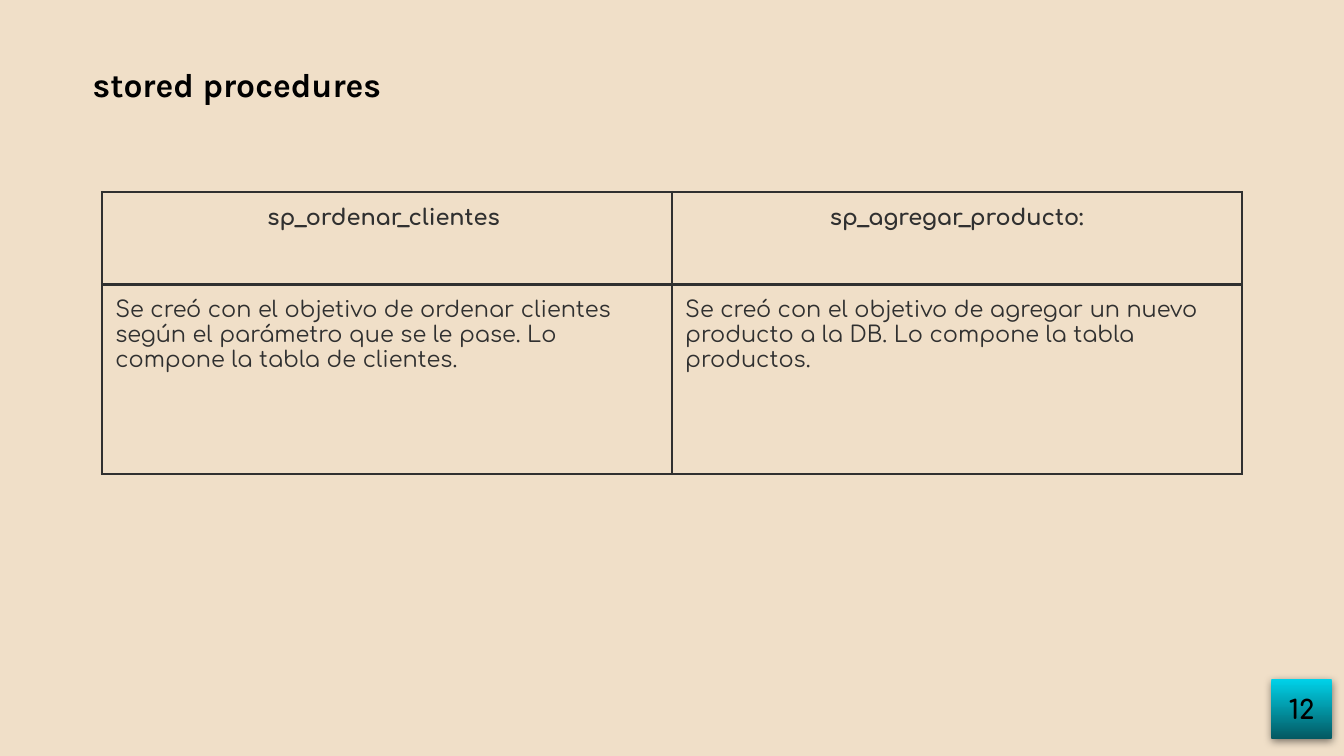
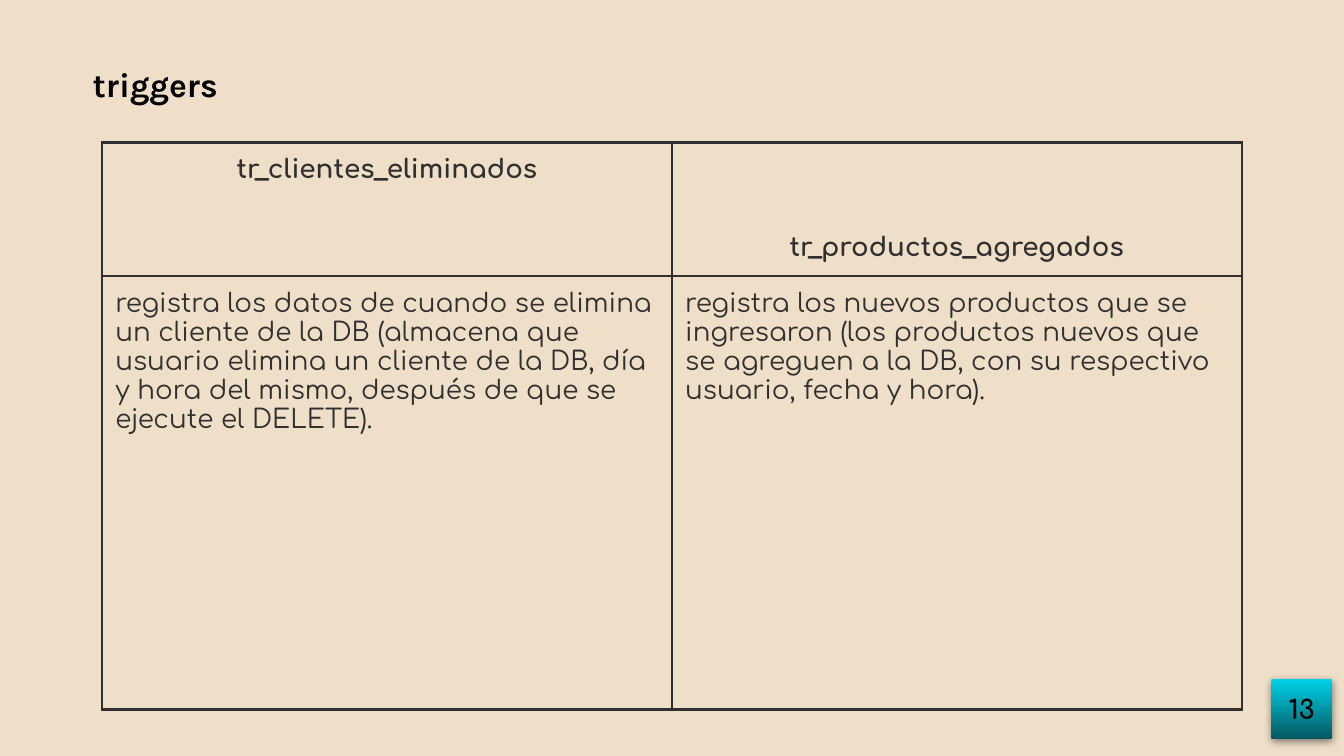
from dataclasses import dataclass
from lxml import etree
from pptx import Presentation
from pptx.dml.color import RGBColor
from pptx.enum.shapes import MSO_SHAPE
from pptx.enum.text import MSO_ANCHOR, MSO_AUTO_SIZE, PP_ALIGN
from pptx.oxml import parse_xml
from pptx.oxml.ns import nsdecls, qn
from pptx.util import Cm, Pt


@dataclass(frozen=True)
class Theme:
    """Colours, fonts and type sizes that the slides share."""
    page: str = "F0DFC8"
    ink: str = "303030"
    black: str = "000000"
    top: str = "00D2E9"
    base: str = "045962"
    head: str = "Karla"
    body: str = "Comfortaa"
    title: int = 18
    badge: int = 14
    rule: float = 1.5
    pad: float = 0.25


THEME = Theme()

PAGES = [
    dict(number=12, title="stored procedures", top=3.63, rows=(1.75, 3.58), size=12,
         heads=("sp_ordenar_clientes ", "sp_agregar_producto:"),
         notes=("Se creó con el objetivo de ordenar clientes según el parámetro "
                "que se le pase. Lo compone la tabla de clientes.",
                "Se creó con el objetivo de agregar un nuevo producto a la DB. "
                "Lo compone la tabla productos.")),
    dict(number=13, title="triggers", top=2.69, rows=(1.75, 8.2), size=14,
         heads=("tr_clientes_eliminados", "tr_productos_agregados"),
         notes=("registra los datos de cuando se elimina un cliente de la DB "
                "(almacena que usuario elimina un cliente de la DB, día y hora "
                "del mismo, después de que se ejecute el DELETE).",
                "registra los nuevos productos que se ingresaron (los productos "
                "nuevos que se agreguen a la DB, con su respectivo usuario, "
                "fecha y hora).")),
]


def style(para, font, size, color, bold, align=PP_ALIGN.LEFT):
    """Format a paragraph and its runs."""
    para.alignment = align
    for run in para.runs:
        run.font.name = font
        run.font.size = Pt(size)
        run.font.bold = bold
        run.font.color.rgb = RGBColor.from_string(color)


def inset(item):
    """Give a text frame or a cell the same margin on all sides."""
    item.margin_left = item.margin_right = Cm(THEME.pad)
    item.margin_top = item.margin_bottom = Cm(THEME.pad)


def add_title(slide, text):
    """Place and fill the title placeholder."""
    title = slide.shapes.title
    title.left, title.top = Cm(1.5), Cm(0.74)
    title.width, title.height = Cm(16.66), Cm(1.68)
    frame = title.text_frame
    frame.text = text
    frame.word_wrap = True
    frame.auto_size = MSO_AUTO_SIZE.NONE
    frame.vertical_anchor = MSO_ANCHOR.MIDDLE
    inset(frame)
    style(frame.paragraphs[0], THEME.head, THEME.title, THEME.black, True)


def add_shade(shape):
    """Put a soft shadow below a shape."""
    shape.shadow.inherit = False
    effects = shape.element.spPr.find(qn("a:effectLst"))
    effects.append(parse_xml(
        f'<a:outerShdw {nsdecls("a")} blurRad="{Pt(4.5)}" dist="{Pt(1.5)}" '
        f'dir="5400000" algn="bl" rotWithShape="0"><a:srgbClr val="{THEME.black}">'
        '<a:alpha val="50000"/></a:srgbClr></a:outerShdw>'))


def add_badge(slide, number):
    """Draw the page number on its gradient square."""
    badge = slide.shapes.add_shape(
        MSO_SHAPE.RECTANGLE, Cm(24.03), Cm(12.84), Cm(1.14), Cm(1.12))
    badge.line.fill.background()
    badge.fill.gradient()
    badge.fill.gradient_angle = 270
    for stop, color in zip(badge.fill.gradient_stops, (THEME.top, THEME.base)):
        stop.color.rgb = RGBColor.from_string(color)
    add_shade(badge)
    frame = badge.text_frame
    frame.text = str(number)
    frame.word_wrap = False
    inset(frame)
    style(frame.paragraphs[0], THEME.body, THEME.badge, THEME.black, True,
          PP_ALIGN.CENTER)


def add_rules(cell):
    """Draw a line on each side of a cell."""
    props = cell._tc.get_or_add_tcPr()
    for place, side in enumerate("LRTB"):
        line = etree.Element(qn(f"a:ln{side}"), w=str(Pt(THEME.rule)))
        fill = etree.SubElement(line, qn("a:solidFill"))
        etree.SubElement(fill, qn("a:srgbClr"), val=THEME.ink)
        props.insert(place, line)


def add_grid(slide, page):
    """Add the table of names over their notes and return it."""
    rows = page["rows"]
    grid = slide.shapes.add_table(
        2, 2, Cm(1.93), Cm(page["top"]), Cm(21.54), Cm(sum(rows))).table
    grid.first_row = grid.horz_banding = False
    for row, height in zip(grid.rows, rows):
        row.height = Cm(height)
    for r, texts in enumerate((page["heads"], page["notes"])):
        for c, text in enumerate(texts):
            cell = grid.cell(r, c)
            cell.text_frame.text = text
            cell.fill.background()
            cell.vertical_anchor = MSO_ANCHOR.TOP
            inset(cell)
            add_rules(cell)
            style(cell.text_frame.paragraphs[0], THEME.body, page["size"],
                  THEME.ink, r == 0, PP_ALIGN.LEFT if r else PP_ALIGN.CENTER)
    return grid


def space_out(grid):
    """Open up the paragraphs in the right column."""
    head, note = (grid.cell(r, 1).text_frame.paragraphs[0] for r in range(2))
    head.line_spacing = 3.68
    head.space_before = head.space_after = note.space_before = Pt(12)


def main():
    """Build and save the slides."""
    deck = Presentation()
    deck.slide_width, deck.slide_height = Cm(25.4), Cm(14.29)
    back = deck.slide_master.background.fill
    back.solid()
    back.fore_color.rgb = RGBColor.from_string(THEME.page)
    grids = []
    for page in PAGES:
        slide = deck.slides.add_slide(deck.slide_layouts[5])
        add_badge(slide, page["number"])
        add_title(slide, page["title"])
        grids.append(add_grid(slide, page))
    space_out(grids[-1])
    deck.save("out.pptx")


main()
